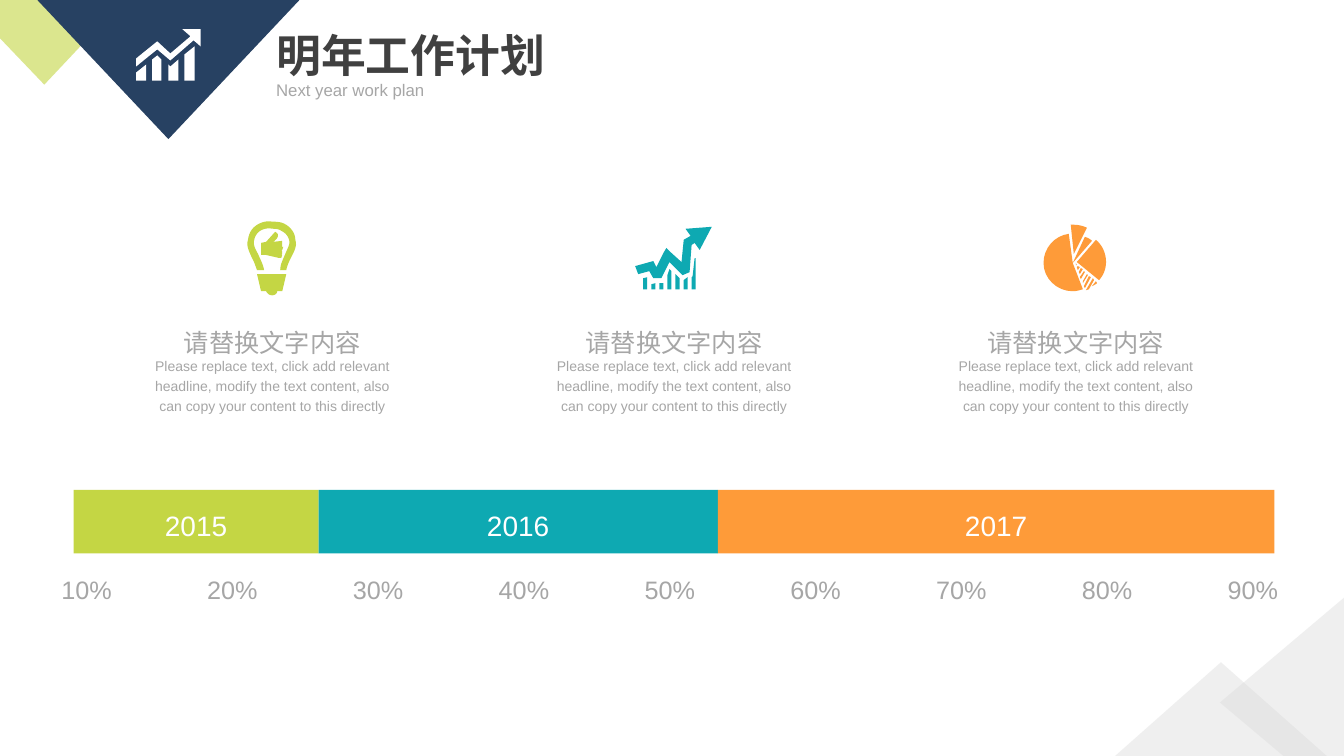
from dataclasses import dataclass

from lxml import etree
from pptx import Presentation, util as u
from pptx.dml.color import RGBColor
from pptx.enum import shapes as kinds, text as txt
from pptx.oxml import ns


@dataclass(frozen=True)
class Theme:
    navy: str = "274162"
    lime: str = "C4D644"
    teal: str = "0EA9B2"
    amber: str = "FE9B39"
    pale: str = "D9D9D9"
    gray: str = "A6A6A6"
    dark: str = "404040"
    white: str = "FFFFFF"
    latin: str = "Arial"
    han: str = "Noto Sans CJK SC"
    title: int = 32
    year: int = 20
    head: int = 18
    sub: int = 12
    body: int = 10


look = Theme()
COLS, ROWS = 1333, 750
CELL = u.Inches(0.01)

deck = Presentation()
deck.slide_width, deck.slide_height = COLS * CELL, ROWS * CELL
slide = deck.slides.add_slide(deck.slide_layouts[5])
pool = slide.shapes


def carve(left, top, cuts):
    pen = None
    for cut in cuts:
        x, y = cut[0]
        dots = []
        for step in cut[1:]:
            if len(step) == 2:
                dots.append(step)
            else:
                a, b, c, d, e, f = step
                for n in range(1, 9):
                    t = n / 8
                    s = 1 - t
                    dots.append((s**3 * x + 3 * s * s * t * a + 3 * s * t * t * c + t**3 * e,
                                 s**3 * y + 3 * s * s * t * b + 3 * s * t * t * d + t**3 * f))
            x, y = step[-2:]
        grid = [((left + h) * CELL, (top + v) * CELL) for h, v in [cut[0]] + dots]
        if pen is None:
            pen = pool.build_freeform(*grid[0], scale=1.0)
        else:
            pen.move_to(*grid[0])
        pen.add_line_segments(grid[1:], close=True)
    return pen.convert_to_shape()


def write(shape, words, size, hue, face=look.latin, bold=False, align="LEFT", gap=1.2,
          wrap=True, anchor="TOP", fit="SHAPE_TO_FIT_TEXT"):
    frame = shape.text_frame
    frame.word_wrap = wrap
    frame.auto_size = txt.MSO_AUTO_SIZE[fit]
    frame.vertical_anchor = txt.MSO_ANCHOR[anchor]
    para = frame.paragraphs[0]
    para.alignment = txt.PP_ALIGN[align]
    para.line_spacing = gap
    para.space_before = u.Pt(0)
    run = para.add_run()
    run.text = words
    font = run.font
    font.name, font.size, font.bold = face, u.Pt(size), bold
    font.color.rgb = RGBColor.from_string(hue)
    east = etree.SubElement(font._element, ns.qn("a:ea"))
    east.set("typeface", look.han)


growth = [
    [(16, 30), (16, 51), (25, 51), (25, 30), (21, 26)],
    [(0, 51), (10, 51), (10, 35), (0, 43)],
    [(48, 25), (48, 51), (58, 51), (58, 17)],
    [(32, 35), (32, 51), (42, 51), (42, 30), (34, 37)],
    [(64, 0), (46, 0), (54, 7), (34, 24), (21, 12), (0, 29), (0, 37), (21, 20), (34, 31),
     (57, 11), (64, 17)],
]
bulb = [
    [(11, 53), (40, 53), (36, 70), (31, 70), (31, 72, 29, 74, 26, 74),
     (23, 74, 21, 72, 20, 70), (15, 70)],
    [(36, 20), (36, 26), (37, 26), (36, 29), (35, 29), (36, 30), (36, 33), (35, 33), (36, 34),
     (35, 37), (33, 37), (20, 34), (15, 34), (15, 22), (20, 21), (29, 11),
     (35, 14, 30, 19, 27, 21)],
    [(11, 49), (18, 49), (17, 43, 14, 38, 12, 33), (9, 28, 7, 23, 8, 20),
     (9, 14, 12, 11, 16, 9), (19, 8, 22, 7, 26, 8), (29, 8, 32, 8, 35, 10),
     (39, 12, 42, 15, 43, 20), (44, 23, 41, 28, 39, 33), (37, 38, 34, 43, 34, 49), (40, 49),
     (41, 44, 43, 40, 45, 36), (48, 30, 51, 25, 49, 19), (49, 12, 44, 6, 38, 3),
     (34, 1, 30, 1, 26, 1), (22, 0, 17, 1, 13, 3), (7, 6, 3, 11, 2, 19),
     (0, 25, 3, 30, 6, 37), (8, 40, 9, 44, 11, 49)],
]
trend = [
    [(56, 62), (60, 62), (60, 31), (59, 31), (57, 49), (56, 50)],
    [(76, 0), (64, 23), (59, 16), (56, 18), (54, 45), (47, 48), (34, 35), (26, 51), (18, 51),
     (14, 44), (3, 47), (0, 39), (18, 34), (21, 40), (28, 26), (31, 21), (35, 25), (46, 35),
     (48, 15), (48, 13), (55, 9), (50, 2)],
    [(16, 62), (20, 62), (20, 56), (16, 57)],
    [(8, 62), (12, 62), (12, 50), (8, 51)],
    [(24, 62), (28, 62), (28, 56), (24, 56)],
    [(32, 62), (36, 62), (36, 44), (34, 42), (32, 48)],
    [(40, 62), (44, 62), (44, 51), (40, 47)],
    [(48, 62), (52, 62), (52, 50), (48, 53)],
]
pie = [
    [(52, 15), (58, 20, 62, 28, 62, 37), (62, 44, 59, 51, 55, 55), (33, 37)],
    [(53, 58), (52, 59, 50, 60, 48, 61), (52, 56)],
    [(45, 64), (50, 55), (49, 53), (42, 65)],
    [(41, 63), (47, 52), (45, 51), (40, 61)],
    [(39, 58), (44, 50), (43, 49), (39, 56)],
    [(37, 54), (41, 47), (40, 46), (36, 52)],
    [(36, 49), (39, 44), (37, 43), (35, 47)],
    [(34, 45), (36, 42), (34, 41), (33, 42)],
    [(32, 40), (32, 38), (33, 40)],
    [(41, 12), (29, 38), (25, 9), (11, 11, 0, 23, 0, 38), (0, 53, 13, 66, 29, 66),
     (32, 66, 36, 65, 39, 64), (29, 38), (48, 16), (46, 14, 44, 13, 41, 12)],
    [(30, 0), (27, 0), (30, 29), (43, 3), (39, 1, 34, 0, 30, 0)],
]

peak = pool.add_shape(kinds.MSO_SHAPE.ISOSCELES_TRIANGLE,
                      1106 * CELL, 657 * CELL, 210 * CELL, 93 * CELL)
slope = carve(1210, 593, [[(123, 0), (123, 157), (63, 157), (0, 104)]])
corner = carve(0, 0, [[(0, 0), (123, 0), (44, 84), (0, 38)]])
flag = pool.add_shape(kinds.MSO_SHAPE.ISOSCELES_TRIANGLE,
                      37 * CELL, 0, 260 * CELL, 138 * CELL)
flag.rotation = 180
paints = [(peak, look.pale, 40), (slope, look.pale, 40), (corner, look.lime, 60),
          (flag, look.navy, 100), (carve(135, 29, growth), look.white, 100)]

title = pool.title
title.left, title.top, title.width, title.height = [n * CELL for n in (264, 22, 533, 64)]
write(title, "明年工作计划", look.title, look.dark, look.han, True, gap=1.0)
sub = pool.add_textbox(264 * CELL, 74 * CELL, 280 * CELL, 30 * CELL)
write(sub, "Next year work plan", look.sub, look.gray, align="JUSTIFY", gap=1.0)

for n in range(9):
    mark = pool.add_textbox(round((51 + 144.6 * n) * CELL), 559 * CELL, 71 * CELL, 43 * CELL)
    write(mark, f"{10 * (n + 1)}%", look.head, look.gray, align="JUSTIFY", wrap=False)

left = 73
for year, wide, hue in ((2015, 243, look.lime), (2016, 396, look.teal), (2017, 552, look.amber)):
    bar = pool.add_shape(kinds.MSO_SHAPE.RECTANGLE,
                         left * CELL, 486 * CELL, wide * CELL, 63 * CELL)
    write(bar, str(year), look.year, look.white, align="CENTER", anchor="MIDDLE", fit="NONE")
    paints.append((bar, hue, 100))
    left += wide

icons = ((244, 219, bulb, look.lime), (630, 225, trend, look.teal), (1035, 223, pie, look.amber))
for n, (x, y, cuts, hue) in enumerate(icons):
    paints.append((carve(x, y, cuts), hue, 100))
    mid = 270 + 398.5 * n
    for words, size, top, wide, high, wrap in (
            ("请替换文字内容", look.head, 314, 197, 43, False),
            ("Please replace text, click add relevant headline, modify the text content, "
             "also can copy your content to this directly", look.body, 346, 254, 71, True)):
        box = pool.add_textbox(round((mid - wide / 2) * CELL), top * CELL,
                               wide * CELL, high * CELL)
        write(box, words, size, look.gray, align="CENTER", wrap=wrap)

for shape, hue, share in paints:
    shape.shadow.inherit = False
    shape.line.fill.background()
    shape.fill.solid()
    shape.fill.fore_color.rgb = RGBColor.from_string(hue)
    if share < 100:
        tint = shape._element.spPr.find(".//" + ns.qn("a:srgbClr"))
        etree.SubElement(tint, ns.qn("a:alpha")).set("val", str(share * 1000))

deck.save("out.pptx")
